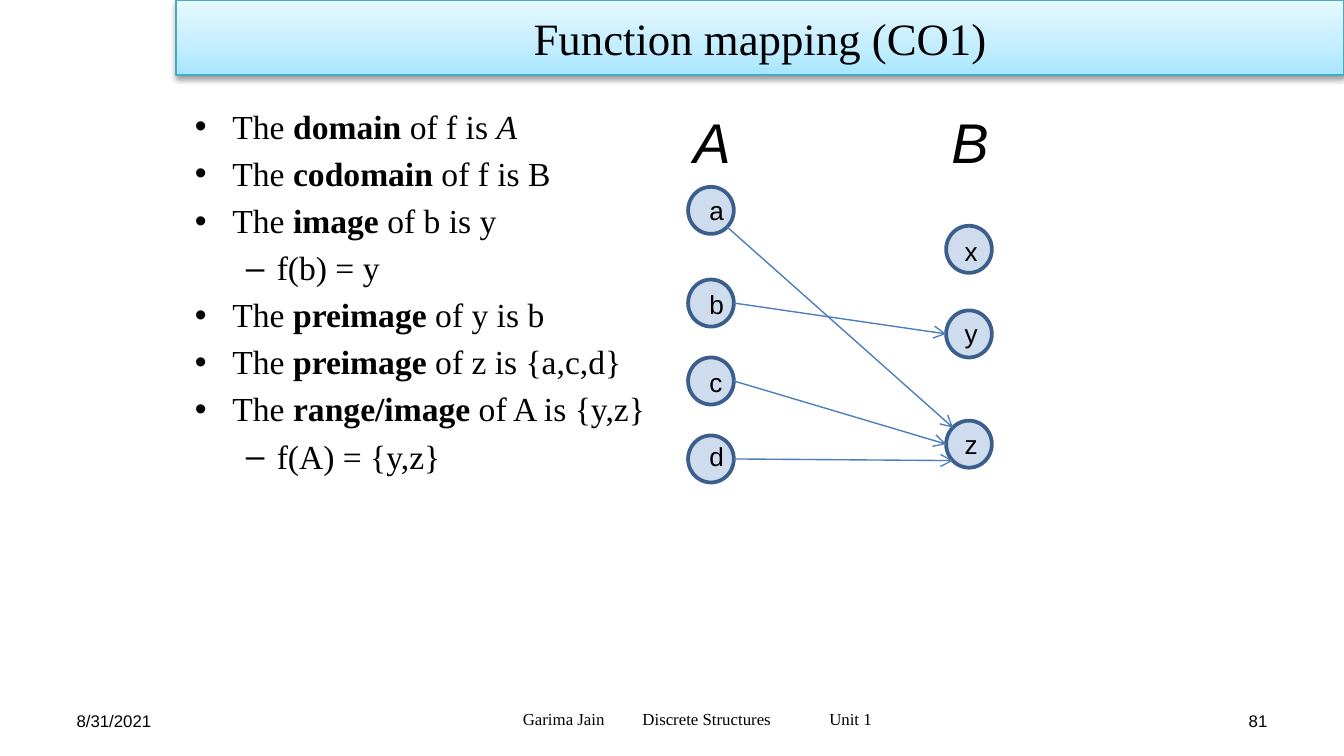
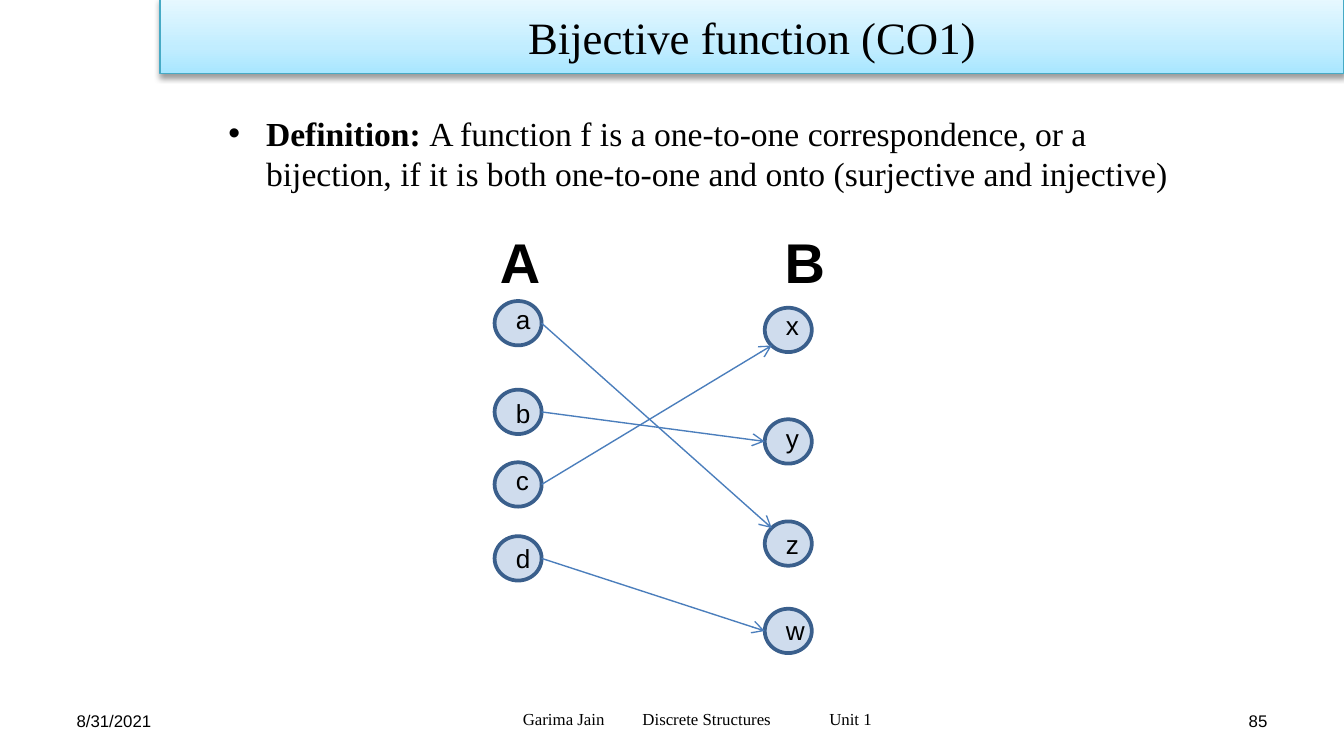
"""Builds two lecture slides on functions between finite sets."""
from collections import namedtuple
from copy import deepcopy

from lxml import etree
from pptx import Presentation
from pptx.dml.color import RGBColor
from pptx.enum.shapes import MSO_CONNECTOR, MSO_SHAPE
from pptx.enum.text import MSO_ANCHOR, MSO_AUTO_SIZE, PP_ALIGN
from pptx.oxml.ns import qn
from pptx.util import Inches, Pt

LINE = MSO_CONNECTOR.STRAIGHT
RECTANGLE, CIRCLE = MSO_SHAPE.RECTANGLE, MSO_SHAPE.FLOWCHART_CONNECTOR
TOP, MIDDLE = MSO_ANCHOR.TOP, MSO_ANCHOR.MIDDLE
GROW = MSO_AUTO_SIZE.SHAPE_TO_FIT_TEXT
LEFT, CENTER, RIGHT = PP_ALIGN.LEFT, PP_ALIGN.CENTER, PP_ALIGN.RIGHT

COLORS = {
    "text": "000000",
    "band_low": "A7E6FF",
    "band_mid": "C1EDFF",
    "band_high": "E7F8FF",
    "band_edge": "46AAC5",
    "node": "4F81BD",
    "node_edge": "3A5F8C",
    "arrow": "4B7EBC",
}
SANS, SERIF = "Arial", "Times New Roman"
CELL = Inches(0.1)
SLIDE_COLUMNS, SLIDE_ROWS = 100, 56.25

Box = namedtuple("Box", "left top width height")
Node = namedtuple("Node", "name row label_drop")
Column = namedtuple("Column", "heading heading_shift label_shift nodes")
Mapping = namedtuple("Mapping", "source source_site target target_site")

SITES = {
    "right": (1, 0.5),
    "left": (0, 0.5),
    "bottom right": (0.85, 0.85),
    "top left": (0.15, 0.15),
    "bottom left": (0.15, 0.85),
}
BULLETS = [("•", 0.28, 0.28), ("–", 0.61, 0.23)]
DATE_BOX = Box(5, 52.1, 23.3, 3)
COURSE_BOX = Box(31.2, 52, 41.2, 3)
NUMBER_BOX = Box(71.7, 52.1, 23.3, 3)


def color(name):
    """Return the named palette colour."""
    return RGBColor.from_string(COLORS[name])


def cells(box):
    """Turn a box in grid cells into slide lengths."""
    return [round(length * CELL) for length in box]


def add_child(parent, tag, **attributes):
    """Append a DrawingML element with the given attributes."""
    child = etree.SubElement(parent, qn(tag))
    for name, value in attributes.items():
        child.set(name, str(value))
    return child


def add_run(paragraph, text, size, font, bold=False, italic=False):
    """Add one formatted run to a paragraph."""
    run = paragraph.add_run()
    run.text = text
    run.font.size = Pt(size)
    run.font.name = font
    run.font.bold, run.font.italic = bold, italic
    run.font.color.rgb = color("text")


def set_frame(frame, anchor):
    """Give a text frame narrow margins, wrapping and an anchor."""
    frame.word_wrap = True
    frame.vertical_anchor = anchor
    frame.margin_left = frame.margin_right = Inches(0.07)
    frame.margin_top = frame.margin_bottom = Inches(0.04)


def add_footer(slide, box, text, font, alignment):
    """Add one footer text and return its frame."""
    frame = slide.shapes.add_textbox(*cells(box)).text_frame
    set_frame(frame, MIDDLE)
    paragraph = frame.paragraphs[0]
    paragraph.alignment = alignment
    add_run(paragraph, text, 9, font)
    return frame


def add_footers(slide, number):
    """Add the date, the slide number and the tabbed course line."""
    add_footer(slide, DATE_BOX, "8/31/2021", SANS, LEFT)
    add_footer(slide, NUMBER_BOX, number, SANS, RIGHT)
    course = "Garima Jain\tDiscrete Structures\tUnit 1"
    frame = add_footer(slide, COURSE_BOX, course, SERIF, LEFT)
    frame.margin_left = Inches(0.77)
    properties = frame.paragraphs[0]._p.get_or_add_pPr()
    tabs = add_child(properties, "a:tabLst")
    for position in (0.89, 2.28):
        add_child(tabs, "a:tab", pos=Inches(position), algn="l")


def add_title_band(slide, box, title):
    """Add the shaded title band with its soft shadow."""
    band = slide.shapes.add_shape(RECTANGLE, *cells(box))
    band.fill.gradient()
    band.fill.gradient_angle = 90
    first_stop = band._element.spPr.find(".//" + qn("a:gs"))
    first_stop.addnext(deepcopy(first_stop))
    shades = [(0, "band_low"), (0.35, "band_mid"), (1, "band_high")]
    for stop, (position, shade) in zip(band.fill.gradient_stops, shades):
        stop.position = position
        stop.color.rgb = color(shade)
    band.line.color.rgb = color("band_edge")
    band.line.width = Pt(0.75)
    band.shadow.inherit = False
    effects = band._element.spPr.find(qn("a:effectLst"))
    shadow = add_child(effects, "a:outerShdw", blurRad=Pt(3.1), dist=Pt(1.6),
                       dir=5400000, rotWithShape=0)
    shade = add_child(shadow, "a:srgbClr", val=COLORS["text"])
    add_child(shade, "a:alpha", val=38000)
    set_frame(band.text_frame, MIDDLE)
    paragraph = band.text_frame.paragraphs[0]
    paragraph.alignment = CENTER
    add_run(paragraph, title, 24, SERIF)


def add_bullets(slide, box, items):
    """Add a bulleted text from (level, runs) items."""
    frame = slide.shapes.add_textbox(*cells(box)).text_frame
    set_frame(frame, TOP)
    for index, (level, runs) in enumerate(items):
        paragraph = frame.add_paragraph() if index else frame.paragraphs[0]
        paragraph.level = level
        mark, indent, hang = BULLETS[level]
        properties = paragraph._p.get_or_add_pPr()
        properties.set("marL", str(Inches(indent)))
        properties.set("indent", str(-Inches(hang)))
        spacing = add_child(properties, "a:spcBef")
        add_child(spacing, "a:spcPct", val=20000)
        add_child(properties, "a:buFont", typeface=SANS)
        add_child(properties, "a:buChar", char=mark)
        for text, style in runs:
            add_run(paragraph, text, 18, SERIF, style == "bold", style == "italic")


def add_label(shapes, box, text, size, style=""):
    """Add a self-sizing label to the diagram."""
    frame = shapes.add_textbox(*cells(box)).text_frame
    frame.word_wrap = True
    frame.auto_size = GROW
    add_run(frame.paragraphs[0], text, size, SANS, style == "bold", style == "italic")


def add_node(shapes, box):
    """Add one translucent circle."""
    circle = shapes.add_shape(CIRCLE, *cells(box))
    circle.shadow.inherit = False
    circle.fill.solid()
    circle.fill.fore_color.rgb = color("node")
    fill = circle._element.spPr.find(qn("a:solidFill"))
    add_child(fill[0], "a:alpha", val=27000)
    circle.line.color.rgb = color("node_edge")
    circle.line.width = Pt(2)


def site_point(box, site):
    """Return the point at a named site of a node."""
    across, down = SITES[site]
    return cells((box.left + across * box.width, box.top + down * box.height))


def add_arrow(shapes, start, end):
    """Add an open-headed arrow between two points."""
    arrow = shapes.add_connector(LINE, *start, *end)
    arrow.line.color.rgb = color("arrow")
    arrow.line.width = Pt(0.75)
    add_child(arrow.line._get_or_add_ln(), "a:tailEnd", type="arrow")
    add_child(arrow._element.spPr, "a:effectLst")


def add_diagram(slide, box, node_size, heading_style, columns, mappings):
    """Draw two columns of nodes and the arrows between them."""
    shapes = slide.shapes.add_group_shape().shapes
    width, height = node_size
    lefts = (box.left, box.left + box.width - width)
    places = {}
    for left, column in zip(lefts, columns):
        heading_box = Box(left + column.heading_shift, box.top, 5.2, 6.1)
        add_label(shapes, heading_box, column.heading, 30, heading_style)
        for node in column.nodes:
            place = Box(left, box.top + node.row, width, height)
            places[node.name] = place
            add_node(shapes, place)
            label_box = Box(left + column.label_shift, place.top + node.label_drop, 2.3, 3.4)
            add_label(shapes, label_box, node.name, 14)
    for mapping in mappings:
        start = site_point(places[mapping.source], mapping.source_site)
        end = site_point(places[mapping.target], mapping.target_site)
        add_arrow(shapes, start, end)


def add_lecture_slide(presentation, number, title, band_box):
    """Add a blank slide with the shared footers and title band."""
    slide = presentation.slides.add_slide(presentation.slide_layouts[6])
    add_footers(slide, number)
    add_title_band(slide, band_box, title)
    return slide


def term(name, rest):
    """Return the runs of a line that names a bold term."""
    return [("The ", ""), (name, "bold"), (rest, "")]


def build_mapping_slide(presentation):
    """Build the slide on the parts of a function."""
    slide = add_lecture_slide(presentation, "81", "Function mapping (CO1)",
                              Box(13.1, 0, 86.9, 5.6))
    columns = [
        Column("A", -0.6, 0.6, [Node("a", 6.4, 0.1), Node("b", 13.3, 0.2),
                                Node("c", 19.1, 0.2), Node("d", 24.9, -0.1)]),
        Column("B", -0.6, 0.4, [Node("x", 9.3, 0.2), Node("y", 15.6, 0),
                                Node("z", 23.8, 0.1)]),
    ]
    mappings = [
        Mapping("b", "right", "y", "left"),
        Mapping("a", "bottom right", "z", "top left"),
        Mapping("c", "right", "z", "left"),
        Mapping("d", "right", "z", "bottom left"),
    ]
    add_diagram(slide, Box(51.2, 7.5, 22.6, 28.4), (3.4, 3.5), "italic", columns, mappings)
    add_bullets(slide, Box(13.8, 7.5, 44.7, 38), [
        (0, term("domain", " of f is ") + [("A", "italic")]),
        (0, term("codomain", " of f is B")),
        (0, term("image", " of b is y")),
        (1, [("f(b) = y", "")]),
        (0, term("preimage", " of y is b")),
        (0, term("preimage", " of z is {a,c,d}")),
        (0, term("range/image", " of A is {y,z}")),
        (1, [("f(A) = {y,z}", "")]),
    ])


def build_bijection_slide(presentation):
    """Build the slide that defines a bijection."""
    slide = add_lecture_slide(presentation, "85", "Bijective function (CO1)",
                              Box(11.9, -0.1, 88.1, 5.6))
    definition = ("A function f is a one-to-one correspondence, or a bijection, "
                  "if it is both one-to-one and onto (surjective and injective)")
    add_bullets(slide, Box(16.3, 8, 73.1, 39.4),
                [(0, [("Definition: ", "bold"), (definition, "")])])
    columns = [
        Column("A", -0.6, 0.6, [Node("a", 6, -0.3), Node("b", 12.6, 0.1),
                                Node("c", 18, -0.3), Node("d", 23.5, 0)]),
        Column("B", 0.5, 0.6, [Node("x", 6.5, -0.4), Node("y", 14.8, -0.3),
                               Node("z", 22.4, 0), Node("w", 28.9, -0.1)]),
    ]
    mappings = [
        Mapping("b", "right", "y", "left"),
        Mapping("a", "right", "z", "top left"),
        Mapping("c", "right", "x", "bottom left"),
        Mapping("d", "right", "w", "left"),
    ]
    add_diagram(slide, Box(36.8, 16.4, 23.6, 32.2), (3.5, 3.3), "bold", columns, mappings)


def main():
    """Build and save the presentation."""
    presentation = Presentation()
    presentation.slide_width, presentation.slide_height = cells((SLIDE_COLUMNS, SLIDE_ROWS))
    build_mapping_slide(presentation)
    build_bijection_slide(presentation)
    presentation.save("out.pptx")


if __name__ == "__main__":
    main()
